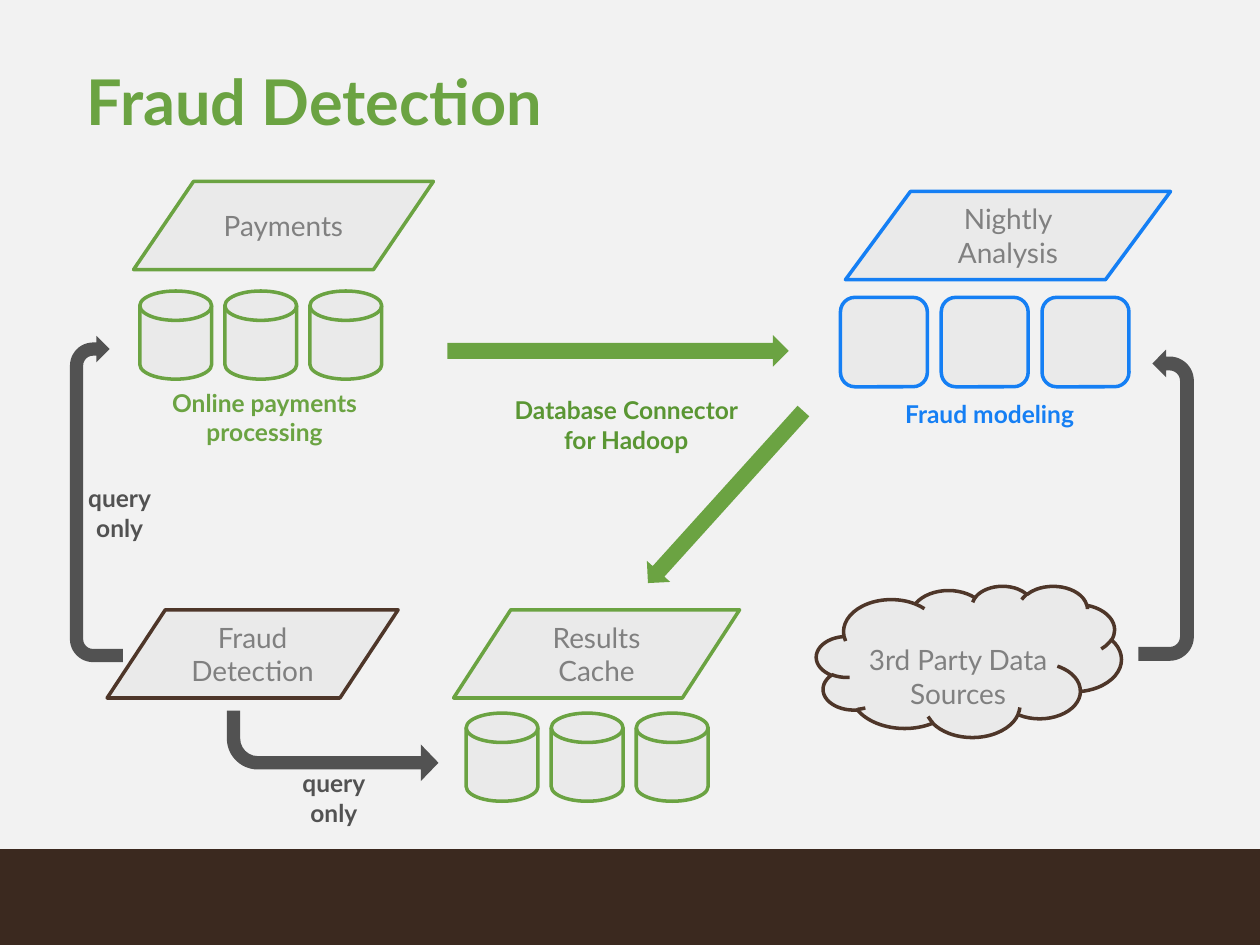
"""Build the Fraud Detection architecture slide."""
from pptx import Presentation, util as u
from pptx.dml.color import RGBColor
from pptx.enum import shapes, text

BACKGROUND = RGBColor(0xF2, 0xF2, 0xF2)
PANEL = RGBColor(0xEA, 0xEA, 0xEA)
GREEN = RGBColor(0x6B, 0xA3, 0x42)
DARK_GREEN = RGBColor(0x5A, 0x96, 0x33)
BLUE = RGBColor(0x15, 0x7F, 0xF4)
BROWN = RGBColor(0x4E, 0x36, 0x29)
FOOTER = RGBColor(0x3B, 0x29, 0x1F)
GREY = RGBColor(0x80, 0x80, 0x80)
DARK_GREY = RGBColor(0x52, 0x52, 0x52)
MSO = shapes.MSO_SHAPE
ANCHOR = text.MSO_ANCHOR


def add_block(parent, kind, box, fill, line=None):
    sp = parent.add_shape(kind, *map(u.Inches, box))
    sp.shadow.inherit = False
    sp.fill.solid()
    sp.fill.fore_color.rgb = fill
    if line is None:
        sp.line.fill.background()
    else:
        sp.line.color.rgb = line
        sp.line.width = u.Pt(2)
    return sp


def write(sp, lines, size, color, bold=False, anchor=ANCHOR.MIDDLE, align=text.PP_ALIGN.CENTER):
    tf = sp.text_frame
    tf.word_wrap = True
    tf.auto_size = text.MSO_AUTO_SIZE.NONE
    tf.vertical_anchor = anchor
    p = tf.paragraphs[0]
    p.alignment = align
    for i, line in enumerate(lines.split("\n")):
        if i:
            p.add_line_break()
        r = p.add_run()
        r.text = line
        r.font.name = "Lato"
        r.font.size = u.Pt(size)
        r.font.bold = bold
        r.font.color.rgb = color
    return tf


prs = Presentation()
prs.slide_width, prs.slide_height = u.Inches(10), u.Inches(7.5)
s = prs.slides.add_slide(prs.slide_layouts[5])
s.background.fill.solid()
s.background.fill.fore_color.rgb = BACKGROUND
add_block(s.shapes, MSO.RECTANGLE, (0, 6.74, 10, 0.76), FOOTER)

title = s.shapes.title
title.left, title.top, title.width, title.height = map(u.Inches, (0.69, 0.37, 8.64, 0.93))
tf = write(title, "Fraud Detection", 36, GREEN, True, align=text.PP_ALIGN.LEFT)
tf.margin_left = tf.margin_top = tf.margin_right = tf.margin_bottom = 0
tf.paragraphs[0].line_spacing = 0.9

for label, left, top, width, color in (
    ("Payments", 1.06, 1.44, 2.38, GREEN),
    ("Nightly Analysis", 6.71, 1.52, 2.58, BLUE),
    ("Results Cache", 3.6, 4.84, 2.27, GREEN),
    ("Fraud Detection", 0.85, 4.84, 2.31, BROWN),
):
    sp = add_block(s.shapes, MSO.FLOWCHART_DATA, (left, top, width, 0.7), PANEL, color)
    write(sp, label, 16, GREY)

cloud = add_block(s.shapes, MSO.CLOUD, (6.48, 4.65, 2.42, 1.2), PANEL, BROWN)
tf = write(cloud, "3rd Party Data Sources", 16, GREY, anchor=ANCHOR.TOP)
tf.margin_left = tf.margin_right = tf.margin_bottom = 0
tf.margin_top = u.Inches(0.27)

for kind, left, top, width, height, step, color in (
    (MSO.FLOWCHART_MAGNETIC_DISK, 1.11, 2.31, 0.57, 0.7, 0.675, GREEN),
    (MSO.FLOWCHART_MAGNETIC_DISK, 3.7, 5.66, 0.57, 0.7, 0.675, GREEN),
    (MSO.ROUNDED_RECTANGLE, 6.67, 2.36, 0.69, 0.71, 0.8, BLUE),
):
    group = s.shapes.add_group_shape()
    for i in range(3):
        add_block(group.shapes, kind, (left + i * step, top, width, height), PANEL, color)

for kind, box, color, rotation, flip, adjustments in (
    (MSO.RIGHT_ARROW, (3.55, 2.66, 2.71, 0.25), GREEN, 0, None, ()),
    (MSO.RIGHT_ARROW, (4.84, 3.82, 1.84, 0.25), GREEN, 312.1, "flipH", ()),
    (MSO.BENT_ARROW, (1.8, 5.64, 1.68, 0.56), DARK_GREY, 0, "flipV", (0.19, 0.26, 0.25, 0.44)),
    (MSO.U_TURN_ARROW, (-0.53, 3.75, 2.59, 0.42), DARK_GREY, 270, None, ()),
    (MSO.U_TURN_ARROW, (8.02, 3.79, 2.47, 0.44), DARK_GREY, 270, "flipV", ()),
):
    sp = add_block(s.shapes, kind, box, color)
    sp.rotation = rotation
    if flip:
        sp._element.spPr.get_or_add_xfrm().set(flip, "1")
    for i, value in enumerate(adjustments):
        sp.adjustments[i] = value

for label, box, color, anchor in (
    ("Online payments processing", (1.01, 3.08, 2.18, 0.8), GREEN, ANCHOR.TOP),
    ("Fraud modeling", (6.7, 3.17, 2.31, 0.8), BLUE, ANCHOR.TOP),
    ("Database Connector for Hadoop", (3.88, 3.18, 2.18, 0.38), DARK_GREEN, ANCHOR.MIDDLE),
    ("query\nonly", (0.56, 3.88, 0.78, 0.38), DARK_GREY, ANCHOR.MIDDLE),
    ("query\nonly", (2.26, 6.14, 0.78, 0.38), DARK_GREY, ANCHOR.MIDDLE),
):
    sp = s.shapes.add_textbox(*map(u.Inches, box))
    tf = write(sp, label, 14, color, True, anchor)
    if anchor == ANCHOR.TOP:
        tf.margin_left = tf.margin_top = tf.margin_right = tf.margin_bottom = 0

prs.save("out.pptx")
